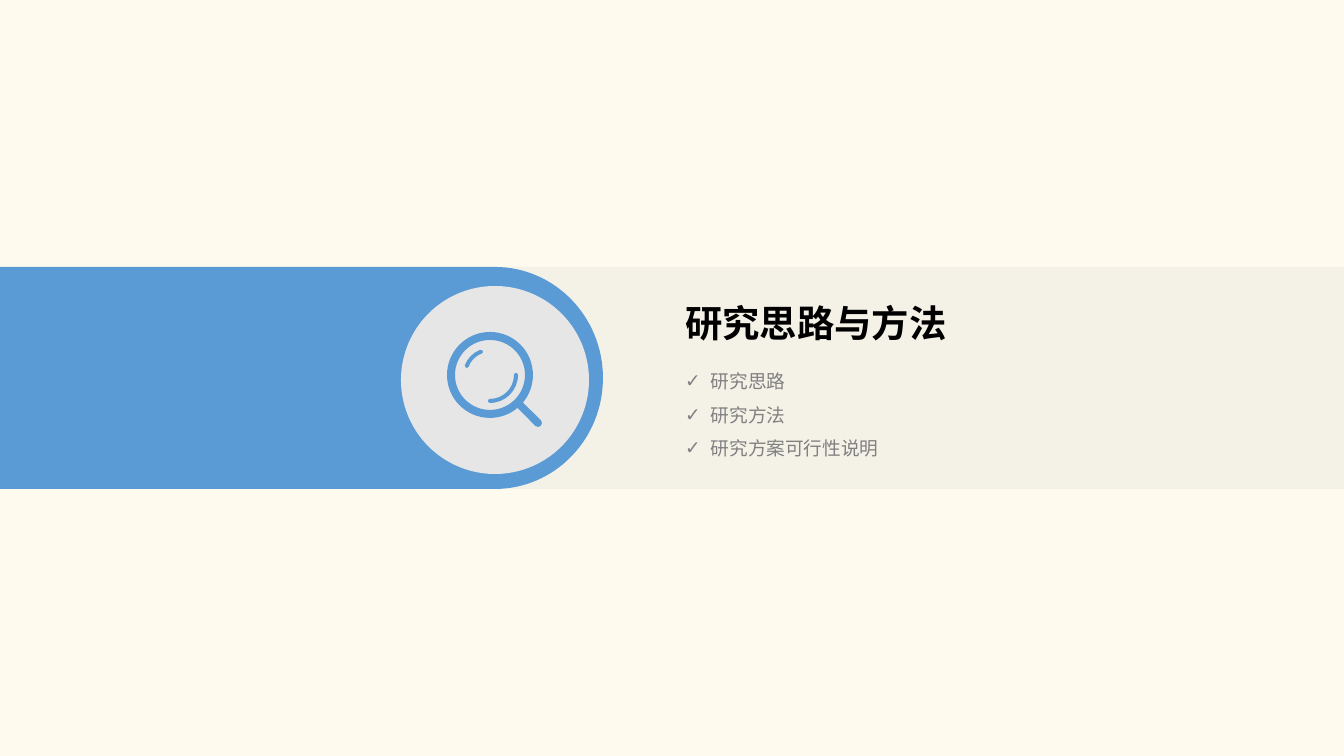
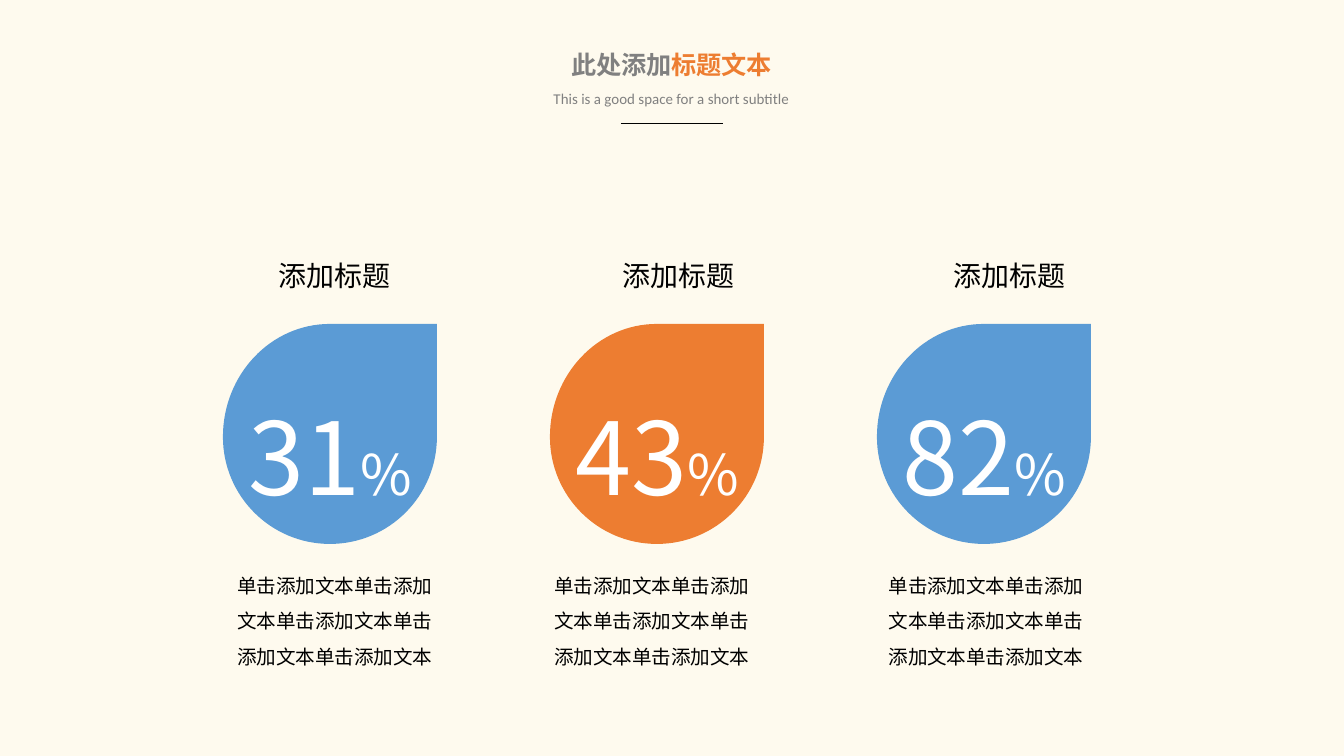
from math import cos, radians, sin, tan

from lxml.etree import SubElement
from pptx import Presentation
from pptx.dml.color import RGBColor
from pptx.enum.shapes import MSO_CONNECTOR as Connector, MSO_SHAPE as Shape
from pptx.enum.text import MSO_ANCHOR as Anchor, MSO_AUTO_SIZE as AutoSize, PP_ALIGN as Align
from pptx.oxml.ns import qn
from pptx.util import Pt

PX = 914400 / 134.4
CREAM = RGBColor(0xFE, 0xFA, 0xEE)
BLUE = RGBColor(0x5B, 0x9B, 0xD5)
ORANGE = RGBColor(0xED, 0x7D, 0x31)
GRAY = RGBColor(0x80, 0x80, 0x80)
SILVER = RGBColor(0xD0, 0xCE, 0xCE)
PALE = RGBColor(0xE7, 0xE6, 0xE6)
BLACK = RGBColor(0, 0, 0)
WHITE = RGBColor(0xFF, 0xFF, 0xFF)
CJK = "Noto Sans CJK SC"


def write(box, lines, at=None, size=10, color=BLACK, font=CJK, bold=False,
          align=Align.CENTER, leading=None, bullet=None, top=6):
    """Fill a box; a line is a string or a list of (text, overrides) spans."""
    if at:
        box.left, box.top, box.width, box.height = [round(v * PX) for v in at]
    frame = box.text_frame
    frame.auto_size = AutoSize.NONE
    frame.word_wrap = True
    frame.vertical_anchor = Anchor.TOP
    frame.margin_left = frame.margin_right = round(10 * PX)
    frame.margin_top, frame.margin_bottom = round(top * PX), 0
    for number, line in enumerate(lines):
        para = frame.add_paragraph() if number else frame.paragraphs[0]
        if bullet:
            props = para._p.get_or_add_pPr()
            props.set("marL", str(round(26 * PX)))
            props.set("indent", str(round(-26 * PX)))
            SubElement(props, qn("a:buChar")).set("char", bullet)
        para.alignment = align
        para.line_spacing = Pt(leading or round(size * 1.22, 1))
        para.space_before = Pt(0)
        for text, changes in [(line, {})] if isinstance(line, str) else line:
            span = para.add_run()
            span.text = text
            span.font.size = Pt(changes.get("size", size))
            span.font.color.rgb = changes.get("color", color)
            span.font.bold = bold
            span.font.name = font
            SubElement(span._r.get_or_add_rPr(), qn("a:ea")).set("typeface", CJK)


def draw_outline(page, contours, color):
    """Draw contours made of corners (x, y) and arcs (x, y, rx, ry, start, end)."""
    builder, curved = None, []
    for contour in contours:
        points, flags = [], []
        for x, y, *arc in contour:
            if not arc:
                points.append((x, y))
                flags.append(False)
                continue
            rx, ry, start, end = arc
            low, high = sorted((start, end))
            stops = sorted({low, high, *[a for a in range(-360, 721, 90) if low < a < high]},
                           reverse=start > end)
            points.append((x + rx * cos(radians(start)), y + ry * sin(radians(start))))
            flags.append(False)
            for a, b in zip(map(radians, stops), map(radians, stops[1:])):
                reach = 4 / 3 * tan((b - a) / 4)
                points += [(x + rx * (cos(a) - reach * sin(a)), y + ry * (sin(a) + reach * cos(a))),
                           (x + rx * (cos(b) + reach * sin(b)), y + ry * (sin(b) - reach * cos(b))),
                           (x + rx * cos(b), y + ry * sin(b))]
                flags += [True] * 3
        points = [(x * PX, y * PX) for x, y in points]
        if builder:
            builder.move_to(*points[0])
        else:
            builder = page.shapes.build_freeform(*points[0])
        builder.add_line_segments(points[1:], close=True)
        curved += flags[1:]
    shape = builder.convert_to_shape()
    segments = list(shape._element.iter(qn("a:lnTo")))
    controls = [segment for segment, bent in zip(segments, curved) if bent]
    for first in range(0, len(controls), 3):
        curve = SubElement(controls[first].getparent(), qn("a:cubicBezTo"))
        controls[first].addprevious(curve)
        for control in controls[first:first + 3]:
            curve.append(control[0])
            control.getparent().remove(control)
    shape.shadow.inherit = False
    shape.fill.solid()
    shape.fill.fore_color.rgb = color
    shape.line.fill.background()
    return shape


deck = Presentation()
deck.slide_width, deck.slide_height = round(1344 * PX), round(756 * PX)
deck.slide_master.background.fill.solid()
deck.slide_master.background.fill.fore_color.rgb = CREAM

# Section divider
page = deck.slides.add_slide(deck.slide_layouts[1])
for kind, at, color in [(Shape.RECTANGLE, (245, 267, 1099, 222), SILVER),
                        (Shape.OVAL, (401, 286, 188, 188), PALE)]:
    shape = page.shapes.add_shape(kind, *[round(v * PX) for v in at])
    shape.shadow.inherit = False
    shape.fill.solid()
    shape.fill.fore_color.rgb = color
    shape.line.fill.background()
    if kind == Shape.RECTANGLE:
        tint = shape.fill._xPr.find(qn("a:solidFill"))[0]
        SubElement(tint, qn("a:alpha")).set("val", "20000")
        draw_outline(page, [[(0, 267), (495, 378, 108, 111, -90, 90), (0, 489)]], BLUE)

lens_x, lens_y = 490, 375
rim = [(lens_x, lens_y, 43, 43, 50, 400), (538, 423, 4, 4, -45, 135)]
glass = [(lens_x, lens_y, 35, 35, 360, 0)]
upper_glint = [(lens_x, lens_y, 27, 27, 200, 248), (481, 352, 2, 2, 248, 428),
               (lens_x, lens_y, 23, 23, 248, 200), (467, 366, 2, 2, 20, 200)]
lower_glint = [(lens_x, lens_y, 28, 28, 0, 90), (490, 401, 2, 2, 90, 270),
               (lens_x, lens_y, 24, 24, 90, 0), (516, 375, 2, 2, 180, 360)]
draw_outline(page, [rim, glass, upper_glint, lower_glint], BLUE)

title, topics = page.placeholders
write(title, ["研究思路与方法"], at=(675, 293, 306, 59), size=20, font="Roboto Condensed",
      bold=True, align=Align.LEFT)
write(topics, ["研究思路", "研究方法", "研究方案可行性说明"], at=(675, 352, 222, 116),
      color=GRAY, font="Roboto Condensed", align=Align.LEFT, leading=18, bullet="✓", top=7)
for box in (topics, title):
    page.shapes._spTree.append(box._element)

# Three percentages
page = deck.slides.add_slide(deck.slide_layouts[0])
title, subtitle = page.placeholders
write(title, [[("此处添加", {}), ("标题文本", {"color": ORANGE})]], at=(556, 43, 231, 44),
      size=13.5, color=GRAY, font="Calibri", bold=True)
write(subtitle, ["This is a good space for a short subtitle"], at=(539, 83, 265, 32),
      size=8, color=GRAY, font="Calibri")
rule = page.shapes.add_connector(Connector.STRAIGHT, *[round(v * PX) for v in (621, 124, 723, 124)])
rule.line.color.rgb = BLACK
rule.line.width = Pt(0.5)
SubElement(rule._element.spPr, qn("a:effectLst"))

columns = [("31", BLUE, 265, 223), ("43", ORANGE, 609, 540), ("82", BLUE, 940, 874)]
for number, (value, color, label_left, note_left) in enumerate(columns):
    left = 223 + 327 * number
    middle = left + 107
    drop = draw_outline(page, [[(left + 214, 324), (middle, 437, 107, 107, 0, 180),
                                (middle, 437, 107, 113, 180, 270)]], color)
    write(drop, [[(value, {}), ("%", {"size": 30})]], size=54, color=WHITE, top=69)
    label, note = [page.shapes.add_textbox(0, 0, 0, 0) for _ in range(2)]
    write(label, ["添加标题"], at=(label_left, 253, 140, 47), size=15, top=5)
    write(note, ["单击添加文本单击添加", "文本单击添加文本单击", "添加文本单击添加文本"],
          at=(note_left, 546, 224, 135), size=10.5, leading=19, top=16)

deck.save("out.pptx")
